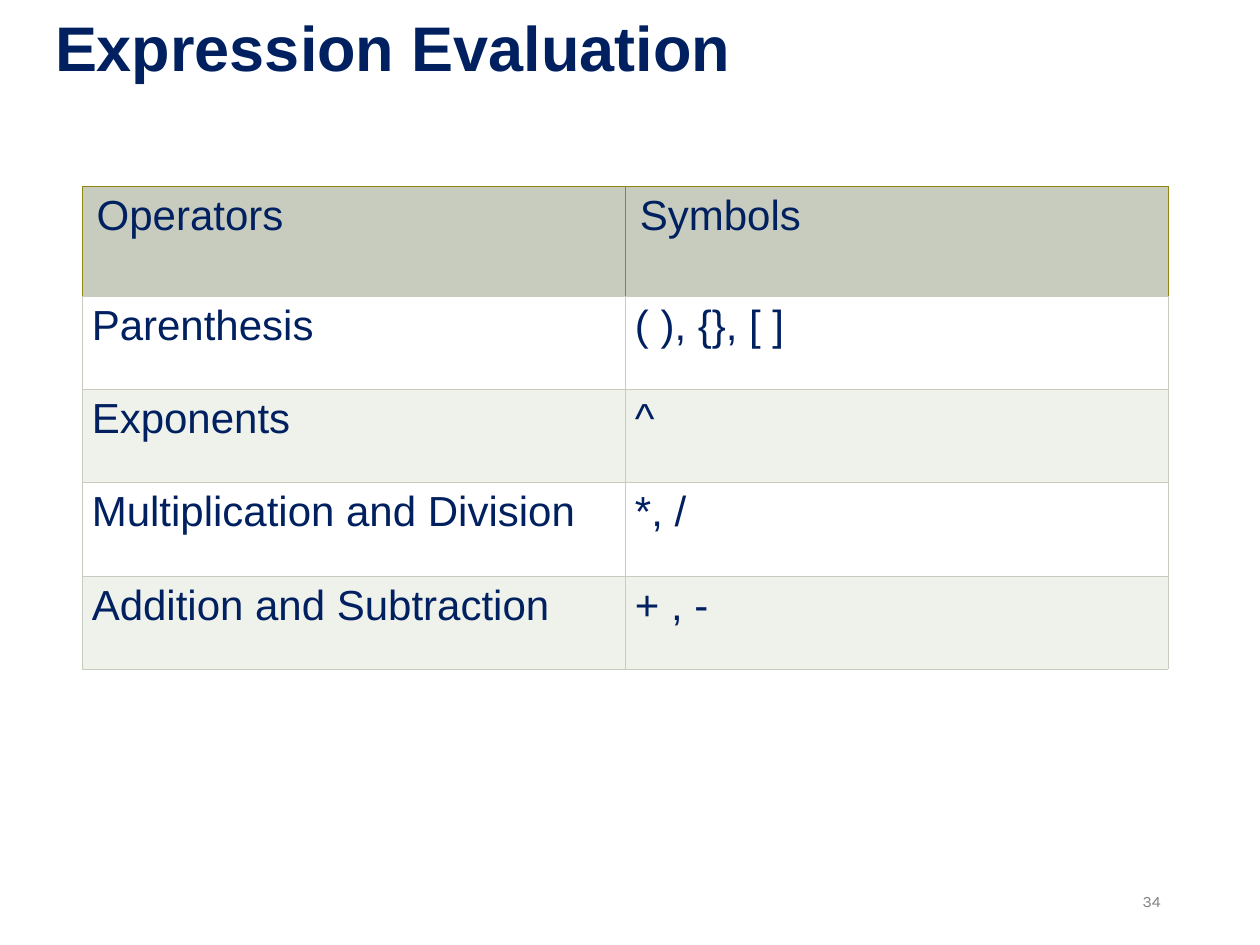
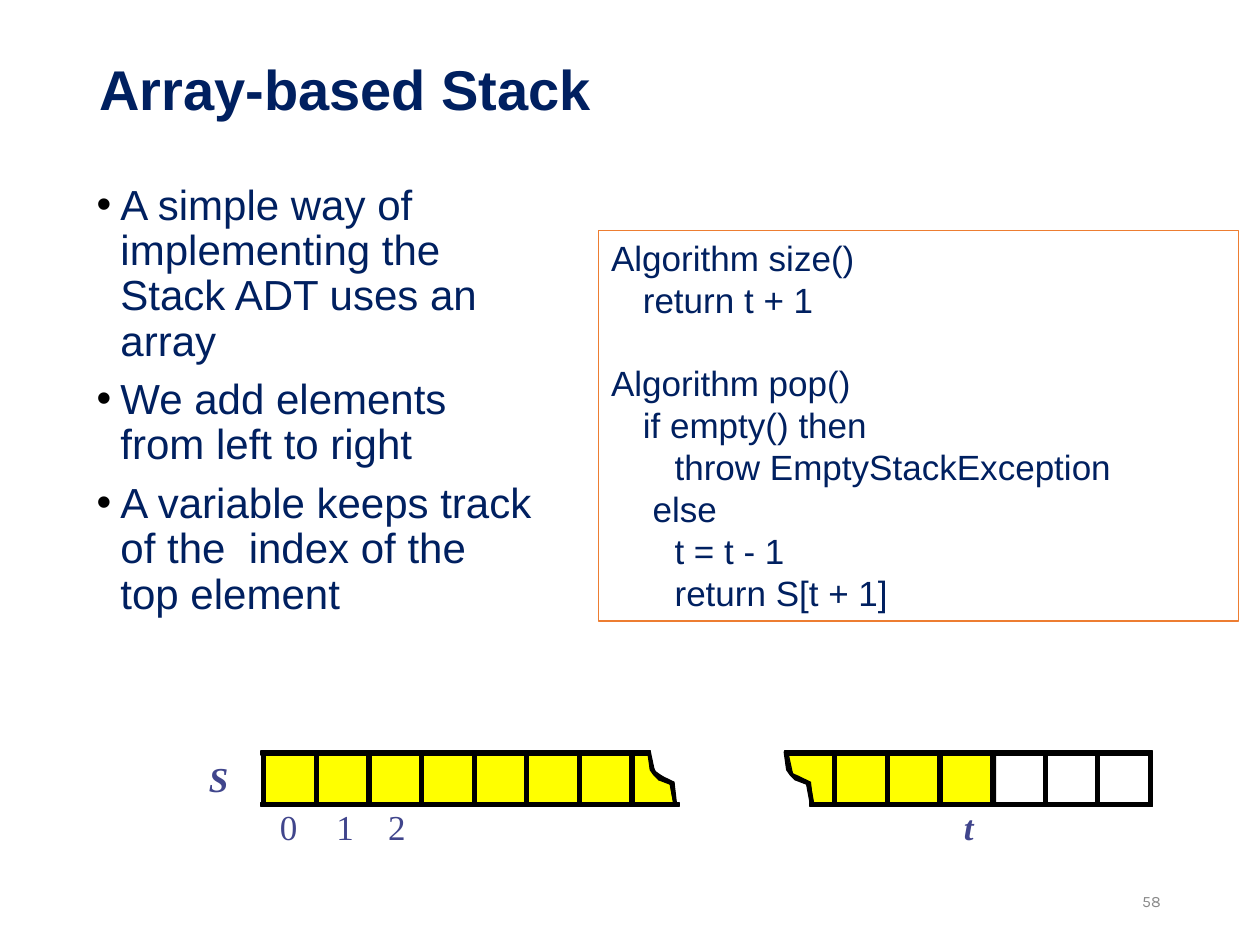
"""Build two slides on expression evaluation and the array-based stack."""
from dataclasses import dataclass
from typing import NamedTuple

from lxml import etree
from pptx import Presentation
from pptx import util as u
from pptx.dml.color import RGBColor
from pptx.enum import shapes, text
from pptx.oxml import ns


@dataclass(frozen=True)
class Theme:
    navy: str = "002060"
    black: str = "000000"
    white: str = "FFFFFF"
    yellow: str = "FFFF00"
    orange: str = "ED7D31"
    indigo: str = "40458C"
    sage: str = "C7CCBE"
    pale_sage: str = "EFF1EB"
    olive: str = "908611"
    mid_grey: str = "7F7F7F"
    light_grey: str = "898989"
    main_font: str = "Arial"
    number_font: str = "Karla"
    label_font: str = "Times New Roman"
    large_title: float = 36
    title: float = 32
    body: float = 24
    code: float = 20
    label: float = 20
    number: float = 9
    outline: float = 0.75
    table_border: float = 0.34


THEME = Theme()


class Box(NamedTuple):
    left: float
    top: float
    width: float
    height: float

    def lengths(self) -> list:
        return [u.Cm(value) for value in self]


class TextStyle(NamedTuple):
    size: float
    color: str = THEME.navy
    font: str = THEME.main_font
    bold: bool = False
    italic: bool = False


class Label(NamedTuple):
    words: str
    left: float
    top: float
    is_variable: bool = False


TABLE_ROWS = [
    ("Operators", "Symbols"),
    ("Parenthesis", "( ), {}, [ ]"),
    ("Exponents", "^"),
    ("Multiplication and Division", "*, /"),
    ("Addition and Subtraction", "+ , -"),
]
POINTS = [
    "A simple way of implementing the Stack ADT uses an array",
    "We add elements from left to right",
    "A variable keeps track of the  index of the top element",
]
SIZE_CODE = ["Algorithm size()", "\treturn t + 1"]
POP_CODE = [
    "Algorithm pop()",
    "\tif empty() then",
    "\t\tthrow EmptyStackException",
    "\t else",
    "\t\tt = t - 1",
    "\t\treturn S[t + 1]",
]

CELL_PITCH = 1.06
BAR = 0.08
ARRAY_TOP, ARRAY_BOTTOM = 15.16, 16.23
LEFT_START, RIGHT_START = 5.28, 16.79
LEFT_FILL = [(5.28, 15.16), (5.28, 16.23), (13.59, 16.23),
             (13.51, 15.77), (13.16, 15.52), (13.08, 15.16)]
RIGHT_FILL = [(20.07, 16.23), (20.07, 15.16), (15.88, 15.16),
              (15.98, 15.62), (16.33, 15.8), (16.41, 16.23)]
TORN_STROKES = [
    [(13.11, 15.16), (13.18, 15.49), (13.23, 15.6), (13.34, 15.65),
     (13.28, 15.72), (13.18, 15.62), (13.11, 15.52), (13.06, 15.16)],
    [(13.34, 15.65), (13.59, 15.77), (13.59, 15.8), (13.51, 15.8),
     (13.54, 15.82), (13.28, 15.72)],
    [(13.59, 15.8), (13.51, 15.8), (13.59, 16.23), (13.64, 16.23)],
]
TORN_SHIFT = 2.75
LABELS = [
    Label("S", 4.01, 15.27, True),
    Label("0", 5.42, 16.23),
    Label("1", 6.56, 16.23),
    Label("2", 7.6, 16.23),
    Label("t", 19.13, 16.23, True),
]


def style_runs(paragraph, style: TextStyle) -> None:
    """Apply one text style to every run of a paragraph."""
    for run in paragraph.runs:
        font = run.font
        font.size, font.name = u.Pt(style.size), style.font
        font.bold, font.italic = style.bold, style.italic
        font.color.rgb = RGBColor.from_string(style.color)


def add_text(slide, box: Box, words: str, style: TextStyle,
             align=text.PP_ALIGN.LEFT, anchor=text.MSO_ANCHOR.MIDDLE):
    """Add a wrapped text box with one style and return its frame."""
    frame = slide.shapes.add_textbox(*box.lengths()).text_frame
    frame.word_wrap, frame.vertical_anchor = True, anchor
    frame.text = words
    for paragraph in frame.paragraphs:
        paragraph.alignment = align
        style_runs(paragraph, style)
    return frame


def add_title(slide, box: Box, words: str, size: float) -> None:
    """Add a bold slide title."""
    frame = add_text(slide, box, words, TextStyle(size, bold=True))
    frame.paragraphs[0].line_spacing = 0.9


def add_page_number(slide, number: int, color: str) -> None:
    """Add the page number at the lower right."""
    add_text(slide, Box(17.93, 17.65, 5.72, 1.02), str(number),
             TextStyle(THEME.number, color, THEME.number_font), text.PP_ALIGN.RIGHT)


def paint(shape, fill: str | None, line: str) -> None:
    """Set the fill and outline of a shape and drop its shadow."""
    shape.shadow.inherit = False
    if fill:
        shape.fill.solid()
        shape.fill.fore_color.rgb = RGBColor.from_string(fill)
    else:
        shape.fill.background()
    shape.line.color.rgb = RGBColor.from_string(line)
    shape.line.width = u.Pt(THEME.outline)


def add_rectangle(slide, box: Box, fill: str | None, line: str):
    """Add a painted rectangle."""
    shape = slide.shapes.add_shape(shapes.MSO_SHAPE.RECTANGLE, *box.lengths())
    paint(shape, fill, line)
    return shape


def add_outline(slide, points: list, fill: str, shift: float = 0) -> None:
    """Add a closed freeform through the points, moved right by the shift."""
    first, *rest = [(u.Cm(x + shift), u.Cm(y)) for x, y in points]
    builder = slide.shapes.build_freeform(*first)
    builder.add_line_segments(rest, close=True)
    paint(builder.convert_to_shape(), fill, THEME.black)


def set_cell_borders(cell, outer: str, bottom: str) -> None:
    """Draw thin borders around a table cell."""
    properties = cell._tc.get_or_add_tcPr()
    for side, color in zip("LRTB", (outer, outer, outer, bottom)):
        line = etree.SubElement(properties, ns.qn(f"a:ln{side}"),
                                w=str(u.Pt(THEME.table_border)))
        fill = etree.SubElement(line, ns.qn("a:solidFill"))
        etree.SubElement(fill, ns.qn("a:srgbClr"), val=color)


def add_operator_table(slide) -> None:
    """Add the table of operators in order of precedence."""
    heights = [2.21] + [1.88] * (len(TABLE_ROWS) - 1)
    box = Box(1.65, 3.76, 21.9, sum(heights))
    table = slide.shapes.add_table(len(TABLE_ROWS), 2, *box.lengths()).table
    for index, (words, height) in enumerate(zip(TABLE_ROWS, heights)):
        table.rows[index].height = u.Cm(height)
        is_header = index == 0
        banded = THEME.white if index % 2 else THEME.pale_sage
        for cell, value in zip(table.rows[index].cells, words):
            cell.text = value
            cell.margin_left = cell.margin_right = u.Cm(0.3 if is_header else 0.2)
            paragraph = cell.text_frame.paragraphs[0]
            paragraph.alignment = text.PP_ALIGN.LEFT if is_header else text.PP_ALIGN.JUSTIFY
            style_runs(paragraph, TextStyle(THEME.body))
            set_cell_borders(cell, THEME.olive if is_header else THEME.sage, THEME.sage)
            cell.fill.solid()
            cell.fill.fore_color.rgb = RGBColor.from_string(
                THEME.sage if is_header else banded)


def add_bullets(slide) -> None:
    """Add the bulleted explanation of the array-based stack."""
    frame = add_text(slide, Box(1.7, 3.58, 9.32, 9.32), "\n".join(POINTS),
                     TextStyle(THEME.body), anchor=text.MSO_ANCHOR.TOP)
    for index, paragraph in enumerate(frame.paragraphs):
        properties = paragraph._p.get_or_add_pPr()
        properties.set("marL", str(u.Cm(0.48)))
        properties.set("indent", str(u.Cm(-0.48)))
        color = etree.SubElement(properties, ns.qn("a:buClr"))
        etree.SubElement(color, ns.qn("a:srgbClr"), val=THEME.black)
        etree.SubElement(properties, ns.qn("a:buFont"), typeface=THEME.main_font)
        etree.SubElement(properties, ns.qn("a:buChar"), char="•")
        paragraph.line_spacing = 0.9
        if index:
            paragraph.space_before = u.Pt(7.5)


def add_code(slide) -> None:
    """Add the framed pseudocode."""
    shape = add_rectangle(slide, Box(12.07, 4.65, 12.9, 7.87), None, THEME.orange)
    frame = shape.text_frame
    frame.word_wrap, frame.vertical_anchor = True, text.MSO_ANCHOR.TOP
    frame.text = "\n".join(SIZE_CODE + POP_CODE)
    for paragraph in frame.paragraphs:
        paragraph.alignment = text.PP_ALIGN.LEFT
        tabs = etree.SubElement(paragraph._p.get_or_add_pPr(), ns.qn("a:tabLst"))
        for level in (1, 2):
            etree.SubElement(tabs, ns.qn("a:tab"), pos=str(u.Cm(0.64 * level)), algn="l")
        style_runs(paragraph, TextStyle(THEME.code))
    frame.paragraphs[len(SIZE_CODE)].space_before = u.Pt(23)


def add_array(slide) -> None:
    """Draw the array with its torn middle, cells and labels."""
    for points in (RIGHT_FILL, LEFT_FILL):
        add_outline(slide, points, THEME.yellow)
    height = ARRAY_BOTTOM - ARRAY_TOP
    bars = [Box(5.26, 15.14, 7.85, BAR), Box(5.26, 16.18, 8.43, BAR),
            Box(15.82, 15.14, 7.42, BAR), Box(16.33, 16.18, 6.91, BAR)]
    for start, count in ((LEFT_START, 8), (RIGHT_START, 7)):
        bars += [Box(start + CELL_PITCH * index, ARRAY_TOP, BAR, height)
                 for index in range(count)]
    for bar in bars:
        add_rectangle(slide, bar, THEME.black, THEME.black)
    for shift in (0, TORN_SHIFT):
        for stroke in TORN_STROKES:
            add_outline(slide, stroke, THEME.black, shift)
    for label in LABELS:
        style = TextStyle(THEME.label, THEME.indigo, THEME.label_font,
                          label.is_variable, label.is_variable)
        frame = add_text(slide, Box(label.left, label.top, 0.8, 0.84), label.words,
                         style, text.PP_ALIGN.CENTER, text.MSO_ANCHOR.TOP)
        frame.margin_left = frame.margin_right = 0
        frame.margin_top = frame.margin_bottom = 0


def main() -> None:
    """Build and save the presentation."""
    presentation = Presentation()
    presentation.slide_width, presentation.slide_height = u.Cm(25.4), u.Cm(19.05)
    blank = presentation.slide_layouts[6]

    slide = presentation.slides.add_slide(blank)
    add_title(slide, Box(0.86, 0, 23.8, 2.08), "Expression Evaluation", THEME.large_title)
    add_page_number(slide, 34, THEME.mid_grey)
    add_operator_table(slide)

    slide = presentation.slides.add_slide(blank)
    add_title(slide, Box(1.75, 1.02, 21.92, 1.7), "Array-based Stack", THEME.title)
    add_bullets(slide)
    add_array(slide)
    add_code(slide)
    add_page_number(slide, 58, THEME.light_grey)
    presentation.save("out.pptx")


if __name__ == "__main__":
    main()
